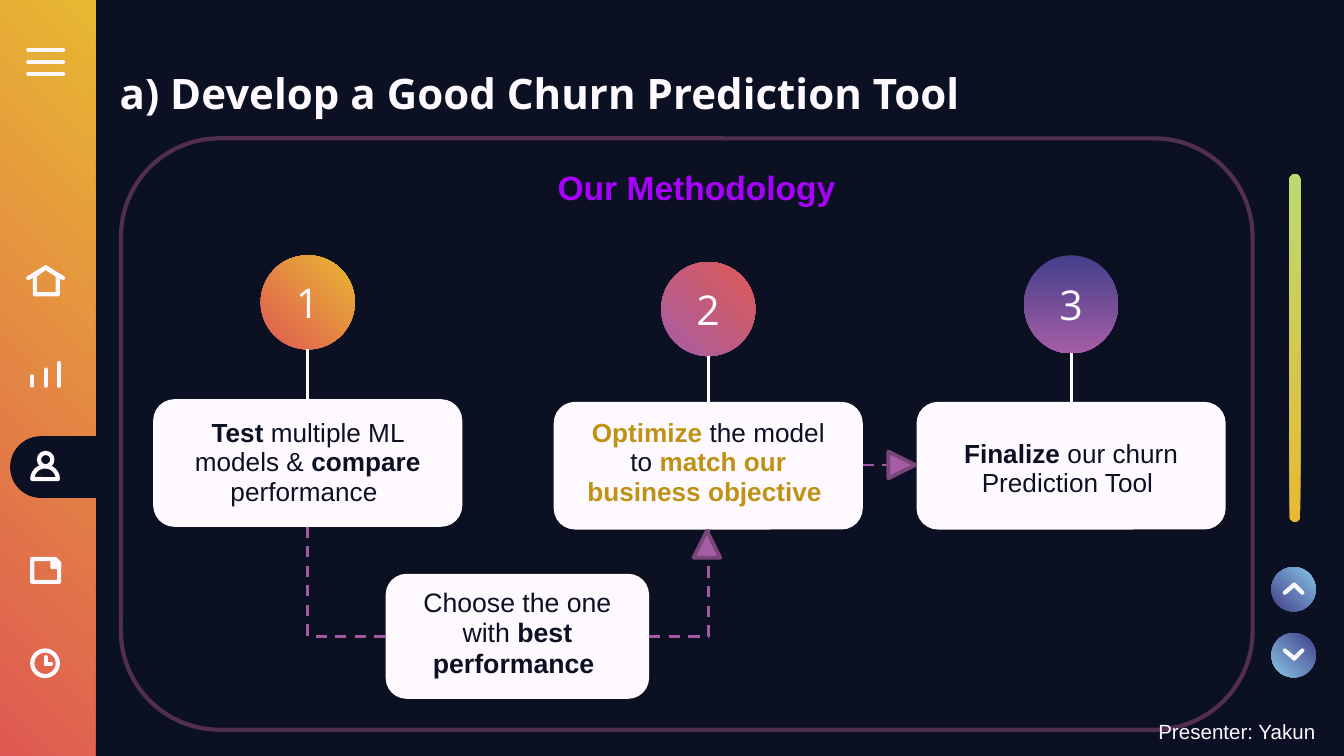
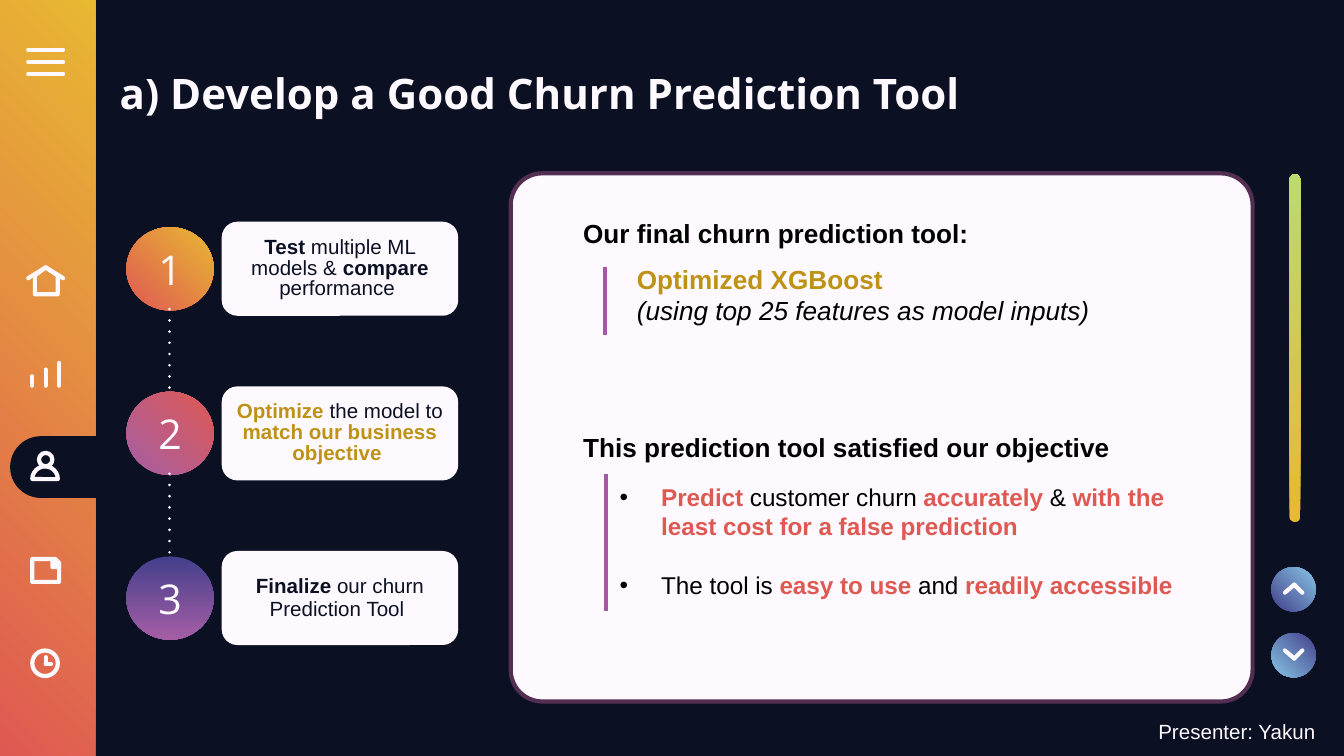
from dataclasses import dataclass
from itertools import pairwise

from lxml.etree import SubElement
from pptx import Presentation
from pptx.dml.color import RGBColor
from pptx.enum.shapes import MSO_CONNECTOR, MSO_SHAPE
from pptx.enum.text import MSO_ANCHOR, MSO_AUTO_SIZE, PP_ALIGN
from pptx.oxml.ns import qn
from pptx.util import Inches, Pt

COLUMNS = 10
ROWS = COLUMNS * 9 / 16
CELL = Inches(1)
TITLE_ONLY, TITLE_AND_CONTENT = 5, 1


@dataclass(frozen=True)
class Theme:
    """Colours, fonts and type sizes shared by the slides."""

    night: str = "0B1022"
    paper: str = "FDF9FF"
    black: str = "000000"
    yellow: str = "E8B832"
    green: str = "BBDB70"
    red: str = "DF5953"
    purple: str = "A55EA5"
    indigo: str = "433F8B"
    sky: str = "87C5E5"
    gold: str = "BE9215"
    violet: str = "A800FC"
    link: str = "A35AA3"
    arrow_edge: str = "7A467A"
    frame: str = "532E53"
    heading_font: str = "Open Sans"
    body_font: str = "Arial"
    title_size: float = 22.5
    number_size: float = 22
    subtitle_size: float = 18
    text_size: float = 14
    choice_size: float = 14.3
    list_size: float = 13
    small_size: float = 11
    thick: float = 2.25
    thin: float = 1.5


THEME = Theme()


@dataclass(frozen=True)
class Step:
    """One step of the methodology; starred text is emphasised."""

    number: str
    text: str
    colors: tuple
    angle: int
    emphasis: str


STEPS = (
    Step("1", "*Test* multiple ML models & *compare* performance ",
         (THEME.red, THEME.yellow), 45, THEME.night),
    Step("2", "*Optimize* the model to *match our business objective *",
         (THEME.purple, THEME.red), 45, THEME.gold),
    Step("3", "*Finalize* our churn Prediction Tool ",
         (THEME.indigo, THEME.purple), 270, THEME.night),
)


def cells(*lengths):
    """Convert grid cells to slide units."""
    return [round(length * CELL) for length in lengths]


def color(code):
    """Return a colour object for a hexadecimal code."""
    return RGBColor.from_string(code)


def paint(shape, fill=None, line=None, width=THEME.thick, angle=45):
    """Set a plain, gradient or empty fill and the outline."""
    shape.shadow.inherit = False
    if fill is None:
        shape.fill.background()
    elif isinstance(fill, tuple):
        shape.fill.gradient()
        shape.fill.gradient_angle = angle
        for stop, code in zip(shape.fill.gradient_stops, fill):
            stop.color.rgb = color(code)
    else:
        shape.fill.solid()
        shape.fill.fore_color.rgb = color(fill)
    if line is None:
        shape.line.fill.background()
    else:
        shape.line.color.rgb = color(line)
        shape.line.width = Pt(width)


def draw_shape(slide, kind, box, adjustments=(), rotation=0, **style):
    """Add a painted preset shape."""
    shape = slide.shapes.add_shape(kind, *cells(*box))
    for index, value in enumerate(adjustments):
        shape.adjustments[index] = value
    shape.rotation = rotation
    paint(shape, **style)
    return shape


def draw_outline(slide, points, fill=None):
    """Add a closed icon outline."""
    start, *others = [cells(*point) for point in points]
    builder = slide.shapes.build_freeform(*start)
    builder.add_line_segments(others, close=True)
    paint(builder.convert_to_shape(), fill, THEME.paper)


def draw_line(slide, start, end, code=THEME.paper, width=THEME.thick,
              dash=None, cap="flat", kind=MSO_CONNECTOR.STRAIGHT):
    """Add a connector without a shadow."""
    connector = slide.shapes.add_connector(kind, *cells(*start, *end))
    connector.line.color.rgb = color(code)
    connector.line.width = Pt(width)
    properties = connector._element.spPr
    outline = properties.find(qn("a:ln"))
    outline.set("cap", cap)
    if dash:
        SubElement(outline, qn("a:prstDash")).set("val", dash)
    SubElement(properties, qn("a:effectLst"))
    return connector


def draw_strokes(slide, *strokes):
    """Add round-ended icon strokes given as left, top, right, bottom."""
    for stroke in strokes:
        draw_line(slide, stroke[:2], stroke[2:], cap="rnd")


def draw_elbow(slide, source, side, target):
    """Join a side of one card to the bottom of another."""
    connector = draw_line(slide, (0, 0), (1, 1), THEME.link, THEME.thin,
                          "dash", kind=MSO_CONNECTOR.ELBOW)
    connector.begin_connect(source, side)
    connector.end_connect(target, 2)
    connector._element.spPr.find(qn("a:prstGeom")).set("prst", "bentConnector2")


def write(paragraph, text, size, code, emphasis=None, font=THEME.body_font,
          italic=False):
    """Write runs, making starred parts bold in the emphasis colour."""
    for index, part in enumerate(text.split("*")):
        if part:
            strong = index % 2 == 1
            run = paragraph.add_run()
            run.text = part
            run.font.name = font
            run.font.size = Pt(size)
            run.font.bold = strong
            run.font.italic = italic
            run.font.color.rgb = color(emphasis or code if strong else code)


def set_insets(frame, edge=0.1):
    """Set the text margins."""
    frame.margin_left = frame.margin_right = cells(0.1)[0]
    frame.margin_top = frame.margin_bottom = cells(edge)[0]


def center_text(shape, text, size, code, spacing=1.0, **style):
    """Write centred text inside a shape."""
    frame = shape.text_frame
    frame.word_wrap = True
    frame.vertical_anchor = MSO_ANCHOR.MIDDLE
    set_insets(frame)
    paragraph = frame.paragraphs[0]
    paragraph.alignment = PP_ALIGN.CENTER
    paragraph.line_spacing = spacing
    write(paragraph, text, size, code, **style)


def draw_label(slide, box, text, size, code):
    """Add a one-line label and return its text frame."""
    frame = slide.shapes.add_textbox(*cells(*box)).text_frame
    frame.word_wrap = False
    frame.auto_size = MSO_AUTO_SIZE.SHAPE_TO_FIT_TEXT
    write(frame.paragraphs[0], text, size, code)
    return frame


def draw_card(slide, box, text_box, text, size, spacing=0.95, emphasis=None):
    """Add a rounded card and the text box that lies on it."""
    card = draw_shape(slide, MSO_SHAPE.ROUNDED_RECTANGLE, box, fill=THEME.paper)
    center_text(slide.shapes.add_textbox(*cells(*text_box)), text, size,
                THEME.night, spacing, emphasis=emphasis)
    return card


def draw_number(slide, box, step):
    """Add the numbered circle of a step."""
    circle = draw_shape(slide, MSO_SHAPE.OVAL, box, fill=step.colors,
                        angle=step.angle)
    center_text(circle, step.number, THEME.number_size, THEME.paper,
                font=THEME.heading_font)


def draw_arrowhead(slide, left, top, rotation=0):
    """Add a triangular arrowhead."""
    draw_shape(slide, MSO_SHAPE.ISOSCELES_TRIANGLE, (left, top, 0.2, 0.2),
               rotation=rotation, fill=THEME.purple, line=THEME.arrow_edge,
               width=2)


def draw_sidebar(slide):
    """Add the gradient sidebar and its icons."""
    ink = {"line": THEME.paper}
    draw_shape(slide, MSO_SHAPE.RECTANGLE, (0, 0, 0.71, ROWS),
               fill=(THEME.red, THEME.yellow))
    draw_strokes(slide, *((0.21, top, 0.47, top) for top in (0.37, 0.46, 0.55)))
    draw_shape(slide, MSO_SHAPE.ROUND_2_SAME_RECTANGLE, (0.2, 3.12, 0.46, 0.71),
               (0.5, 0), 270, fill=THEME.night)
    draw_strokes(slide, (0.21, 2.07, 0.34, 1.99), (0.47, 2.07, 0.34, 1.99))
    draw_outline(slide, [(0.26, 2.05), (0.26, 2.19), (0.43, 2.19),
                         (0.43, 2.05), (0.34, 1.99)])
    draw_strokes(slide, *((0.24 + 0.1 * bar, 2.8 - 0.05 * bar,
                           0.24 + 0.1 * bar, 2.87) for bar in range(3)))
    draw_shape(slide, MSO_SHAPE.OVAL, (0.29, 3.37, 0.1, 0.1), **ink)
    draw_shape(slide, MSO_SHAPE.PIE, (0.24, 3.47, 0.19, 0.19), (54.33, 162),
               90, **ink)
    draw_shape(slide, MSO_SHAPE.SNIP_1_RECTANGLE, (0.24, 4.16, 0.2, 0.17), **ink)
    draw_outline(slide, [(0.39, 4.17), (0.42, 4.17), (0.44, 4.2),
                         (0.44, 4.22), (0.39, 4.22)], THEME.paper)
    draw_shape(slide, MSO_SHAPE.OVAL, (0.24, 4.84, 0.19, 0.19), **ink)
    draw_strokes(slide, (0.34, 4.89, 0.34, 4.94), (0.38, 4.94, 0.34, 4.94))


def draw_scroller(slide):
    """Add the scroll bar and the two round buttons."""
    draw_shape(slide, MSO_SHAPE.ROUNDED_RECTANGLE, (8.34, 2.55, 2.59, 0.08),
               (0.5,), 270, fill=(THEME.yellow, THEME.green))
    for top, rotation, tip, tail in ((4.22, 0, 4.35, 4.41),
                                     (4.71, 180, 4.9, 4.84)):
        draw_shape(slide, MSO_SHAPE.OVAL, (9.46, top, 0.33, 0.33),
                   rotation=rotation, fill=(THEME.indigo, THEME.sky))
        draw_strokes(slide, *((9.63, tip, side, tail) for side in (9.56, 9.69)))


def draw_footer(slide):
    """Add the presenter line."""
    footer = slide.shapes.add_textbox(*cells(8.52, 5.28, 1.48, 0.33)).text_frame
    footer.word_wrap = True
    footer.vertical_anchor = MSO_ANCHOR.MIDDLE
    set_insets(footer)
    write(footer.paragraphs[0], "Presenter: Yakun", THEME.small_size, THEME.paper)


def add_slide(presentation, layout):
    """Add a slide with the shared title, sidebar and scroller."""
    slide = presentation.slides.add_slide(presentation.slide_layouts[layout])
    draw_sidebar(slide)
    draw_scroller(slide)
    title = slide.shapes.title
    title.left, title.top, title.width, title.height = cells(0.79, 0.4, 9.21, 0.63)
    frame = title.text_frame
    frame.auto_size = MSO_AUTO_SIZE.NONE
    frame.vertical_anchor = MSO_ANCHOR.TOP
    set_insets(frame)
    frame.paragraphs[0].alignment = PP_ALIGN.LEFT
    write(frame.paragraphs[0], "*a) Develop a Good Churn Prediction Tool*",
          THEME.title_size, THEME.paper, font=THEME.heading_font)
    return slide


def build_methodology(presentation):
    """Build the flow of the three steps."""
    slide = add_slide(presentation, TITLE_ONLY)
    cards = []
    places = ((2.29, 1.9, 0.7, 2.97, 2.97, 0.95),
              (5.27, 1.95, 0.7, 2.99, 2.97, 0.95),
              (7.97, 1.9, 0.73, 2.99, 3.17, 0.64))
    for step, place in zip(STEPS, places):
        middle, top, height, card_top, text_top, text_height = place
        draw_number(slide, (middle - 0.35, top, 0.7, height), step)
        draw_line(slide, (middle, top + height), (middle, card_top),
                  width=THEME.thin)
        cards.append(draw_card(slide, (middle - 1.15, card_top, 2.3, 0.95),
                               (middle - 1.03, text_top, 2.06, text_height),
                               step.text, THEME.text_size,
                               emphasis=step.emphasis))
    choice = draw_card(slide, (2.87, 4.27, 1.96, 0.93), (2.87, 4.25, 1.96, 0.93),
                       "Choose the one with *best performance *",
                       THEME.choice_size)
    draw_elbow(slide, choice, 1, cards[0])
    draw_elbow(slide, choice, 3, cards[1])
    draw_line(slide, (6.42, 3.46), (6.82, 3.46), THEME.link, THEME.thin, "dash")
    draw_arrowhead(slide, 5.16, 3.95)
    draw_arrowhead(slide, 6.61, 3.36, 90)
    draw_shape(slide, MSO_SHAPE.ROUNDED_RECTANGLE, (0.9, 1.03, 8.42, 4.4),
               line=THEME.frame)
    draw_label(slide, (4.05, 1.19, 2.29, 0.4), "*Our Methodology*",
               THEME.subtitle_size, THEME.violet)
    draw_footer(slide)


def fill_objectives(body):
    """Place the body placeholder and write the bulleted objectives."""
    body.left, body.top, body.width, body.height = cells(4.51, 3.54, 4.44, 0.98)
    frame = body.text_frame
    frame.auto_size = MSO_AUTO_SIZE.NONE
    set_insets(frame, edge=0.05)
    objectives = (
        "*Predict* customer churn *accurately *& "
        "*with the least cost for a false prediction*",
        "The tool is *easy to use *and *readily accessible*",
    )
    for index, text in enumerate(objectives):
        paragraph = frame.add_paragraph() if index else frame.paragraphs[0]
        paragraph.space_before = Pt(16 * index)
        properties = paragraph._p.get_or_add_pPr()
        indent = cells(0.31)[0]
        properties.set("marL", str(indent))
        properties.set("indent", str(-indent))
        bullet_color = SubElement(properties, qn("a:buClr"))
        SubElement(bullet_color, qn("a:srgbClr")).set("val", THEME.black)
        SubElement(properties, qn("a:buFont")).set("typeface", THEME.body_font)
        SubElement(properties, qn("a:buChar")).set("char", "•")
        write(paragraph, text, THEME.list_size, THEME.black, THEME.red)


def build_result(presentation):
    """Build the step summary and the final tool panel."""
    slide = add_slide(presentation, TITLE_AND_CONTENT)
    tops = [1.65 + 1.225 * row for row in range(len(STEPS))]
    for step, top, spacing in zip(STEPS, tops, (0.85, 0.85, 0.95)):
        draw_number(slide, (0.94, top + 0.04, 0.65, 0.62), step)
        box = (1.65, top, 1.76, 0.7)
        draw_card(slide, box, box, step.text, THEME.small_size, spacing,
                  step.emphasis)
    for upper, lower in pairwise(tops):
        draw_line(slide, (1.26, upper + 0.65), (1.26, lower + 0.04),
                  width=THEME.thin, dash="dot", cap="rnd")
    panel = draw_shape(slide, MSO_SHAPE.ROUNDED_RECTANGLE,
                       (3.8, 1.29, 5.52, 3.93), (0.06,), fill=THEME.paper,
                       line=THEME.frame)
    body = slide.placeholders[1]
    panel._element.addnext(body._element)
    fill_objectives(body)
    draw_label(slide, (4.24, 1.57, 3.08, 0.34),
               "*Our final churn prediction tool:*", THEME.text_size, THEME.black)
    model = draw_label(slide, (4.64, 1.91, 3.58, 0.57), "*Optimized XGBoost*",
                       THEME.text_size, THEME.gold)
    write(model.add_paragraph(), "(using top 25 features as model inputs)",
          THEME.text_size, THEME.black, italic=True)
    draw_label(slide, (4.24, 3.16, 4.19, 0.34),
               "*This prediction tool satisfied our objective*",
               THEME.text_size, THEME.black)
    for left, top, bottom in ((4.5, 1.99, 2.49), (4.51, 3.53, 4.55)):
        draw_line(slide, (left, top), (left, bottom), THEME.link)
    draw_footer(slide)


def main():
    """Create and save the presentation."""
    presentation = Presentation()
    presentation.slide_width, presentation.slide_height = cells(COLUMNS, ROWS)
    background = presentation.slide_master.background.fill
    background.solid()
    background.fore_color.rgb = color(THEME.night)
    build_methodology(presentation)
    build_result(presentation)
    presentation.save("out.pptx")


if __name__ == "__main__":
    main()
